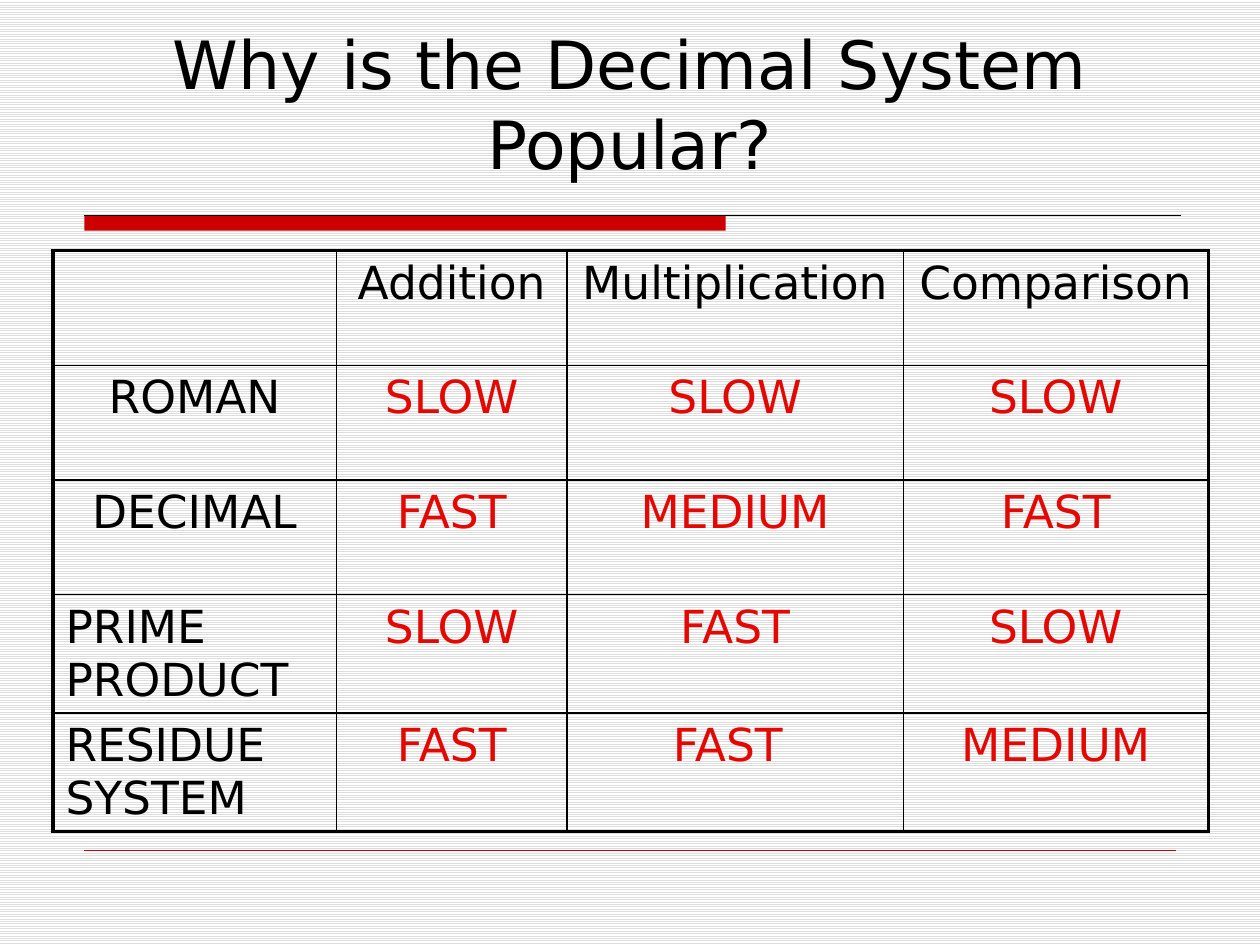
"""Build a slide comparing the speed of arithmetic in four number systems."""
from dataclasses import dataclass

from lxml.etree import SubElement
from pptx import Presentation
from pptx.dml.color import RGBColor
from pptx.enum.dml import MSO_PATTERN
from pptx.enum.shapes import MSO_CONNECTOR, MSO_SHAPE
from pptx.enum.text import MSO_ANCHOR, MSO_AUTO_SIZE, PP_ALIGN
from pptx.oxml.ns import qn
from pptx.slide import Slide
from pptx.table import Table, _Cell as Cell
from pptx.text.text import _Paragraph as Paragraph
from pptx.util import Inches, Pt

BLACK = RGBColor(0x00, 0x00, 0x00)
WHITE = RGBColor(0xFF, 0xFF, 0xFF)
STRIPE = RGBColor(0xDD, 0xDD, 0xDD)
ACCENT = RGBColor(0xCC, 0x00, 0x00)
RATING = RGBColor(0xE3, 0x08, 0x03)
FONT = "DejaVu Sans"
OUTER, INNER = Pt(2.25), Pt(1)
LEFT = 0.67

COLUMNS = (2.25, 1.83, 2.67, 2.42)
ROWS = (0.91, 0.91, 0.91, 0.84, 0.84)


@dataclass(frozen=True)
class Rule:
    """A horizontal line."""
    right: float
    top: float
    width: float
    color: RGBColor


@dataclass(frozen=True)
class System:
    """One row of the table."""
    name: str
    ratings: tuple[str, str, str]
    align: PP_ALIGN = PP_ALIGN.CENTER
    color: RGBColor = RATING


RULES = (Rule(9.37, 1.71, 0.75, BLACK), Rule(9.33, 6.75, 0.25, ACCENT))
SYSTEMS = (
    System("", ("Addition", "Multiplication", "Comparison"), color=BLACK),
    System("ROMAN", ("SLOW", "SLOW", "SLOW")),
    System("DECIMAL", ("FAST", "MEDIUM", "FAST")),
    System("PRIME PRODUCT", ("SLOW", "FAST", "SLOW"), PP_ALIGN.LEFT),
    System("RESIDUE SYSTEM", ("FAST", "FAST ", "MEDIUM"), PP_ALIGN.LEFT),
)


def style(para: Paragraph, size: float, color: RGBColor, align: PP_ALIGN) -> None:
    """Format a whole paragraph."""
    para.alignment = align
    para.font.name = FONT
    para.font.size = Pt(size)
    para.font.color.rgb = color


def draw_rule(page: Slide, rule: Rule) -> None:
    """Draw a line without a shadow."""
    top = Inches(rule.top)
    line = page.shapes.add_connector(
        MSO_CONNECTOR.STRAIGHT, Inches(LEFT), top, Inches(rule.right), top)
    line.line.color.rgb = rule.color
    line.line.width = Pt(rule.width)
    SubElement(line._element.spPr, qn("a:effectLst"))


def draw_borders(cell: Cell, row: int, column: int) -> None:
    """Give a cell thick outer and thin inner borders."""
    edges = {
        "a:lnL": column == 0,
        "a:lnR": column == len(COLUMNS) - 1,
        "a:lnT": row == 0,
        "a:lnB": row == len(ROWS) - 1,
    }
    properties = cell._tc.get_or_add_tcPr()
    for tag, is_outer in edges.items():
        border = SubElement(properties, qn(tag), w=str(OUTER if is_outer else INNER))
        fill = SubElement(border, qn("a:solidFill"))
        SubElement(fill, qn("a:srgbClr"), val=str(BLACK))


def fill_row(table: Table, row: int, system: System) -> None:
    """Write and format one row of the table."""
    for column, text in enumerate((system.name, *system.ratings)):
        cell = table.cell(row, column)
        draw_borders(cell, row, column)
        cell.fill.background()
        cell.text = text
        para = cell.text_frame.paragraphs[0]
        para.space_before = Pt(5.2)
        if column == 0:
            style(para, 26, BLACK, system.align)
        else:
            style(para, 26, system.color, PP_ALIGN.CENTER)


def draw_table(page: Slide) -> None:
    """Draw the comparison table."""
    table = page.shapes.add_table(
        len(ROWS), len(COLUMNS), Inches(0.42), Inches(1.99),
        Inches(sum(COLUMNS)), Inches(sum(ROWS))).table
    table.first_row = table.horz_banding = False
    for column, width in zip(table.columns, COLUMNS):
        column.width = Inches(width)
    for row, height in zip(table.rows, ROWS):
        row.height = Inches(height)
    for index, system in enumerate(SYSTEMS):
        fill_row(table, index, system)


def draw_title(page: Slide) -> None:
    """Place and write the title."""
    title = page.shapes.title
    title.left, title.top = Inches(0.5), Inches(0.25)
    title.width, title.height = Inches(9), Inches(1.25)
    frame = title.text_frame
    frame.text = "Why is the Decimal System Popular?"
    frame.auto_size = MSO_AUTO_SIZE.NONE
    frame.vertical_anchor = MSO_ANCHOR.BOTTOM
    style(frame.paragraphs[0], 38, BLACK, PP_ALIGN.CENTER)


def main() -> None:
    """Build and save the deck."""
    deck = Presentation()
    deck.slide_width, deck.slide_height = Inches(10), Inches(7.5)
    page = deck.slides.add_slide(deck.slide_layouts[5])
    background = page.background.fill
    background.patterned()
    background.pattern = MSO_PATTERN.LIGHT_HORIZONTAL
    background.fore_color.rgb = STRIPE
    background.back_color.rgb = WHITE

    bar = page.shapes.add_shape(
        MSO_SHAPE.RECTANGLE, Inches(LEFT), Inches(1.71), Inches(5.09), Inches(0.12))
    bar.shadow.inherit = False
    bar.fill.solid()
    bar.fill.fore_color.rgb = ACCENT
    bar.line.fill.background()
    for rule in RULES:
        draw_rule(page, rule)
    draw_title(page)
    draw_table(page)
    deck.save("out.pptx")


main()
